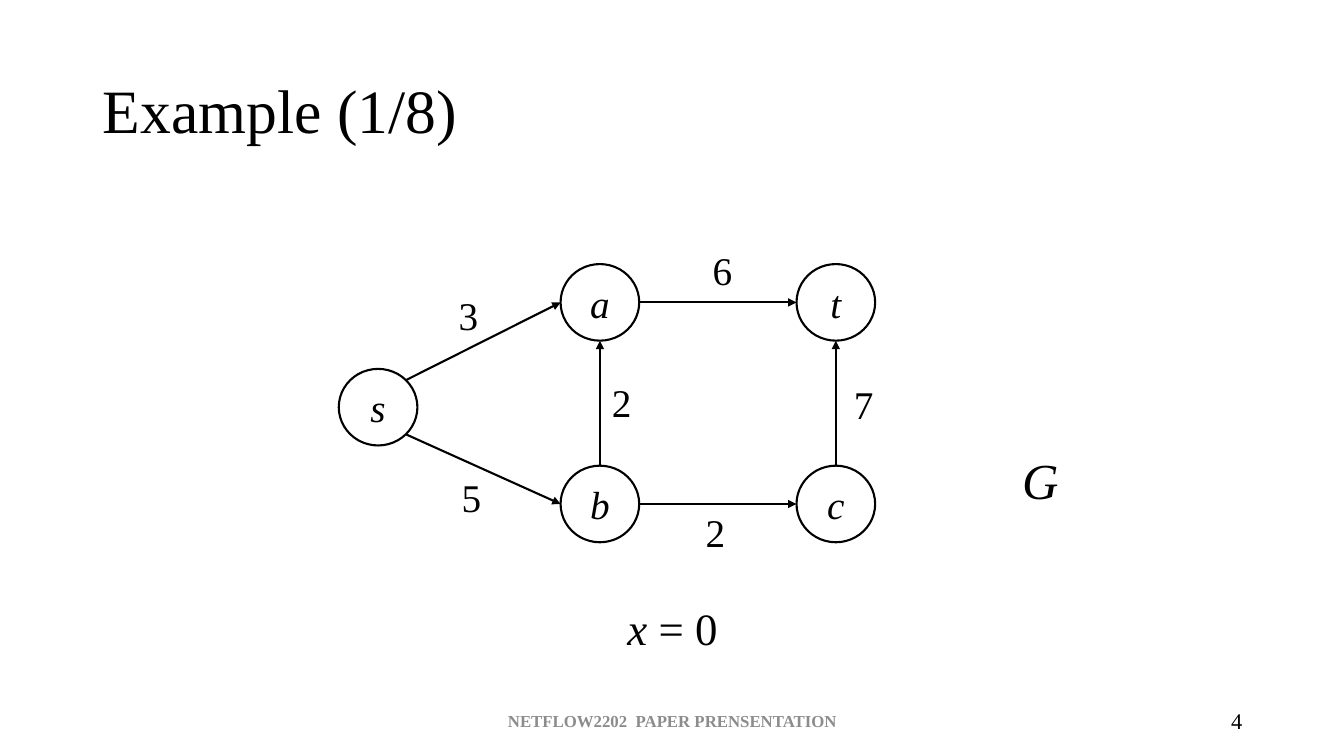
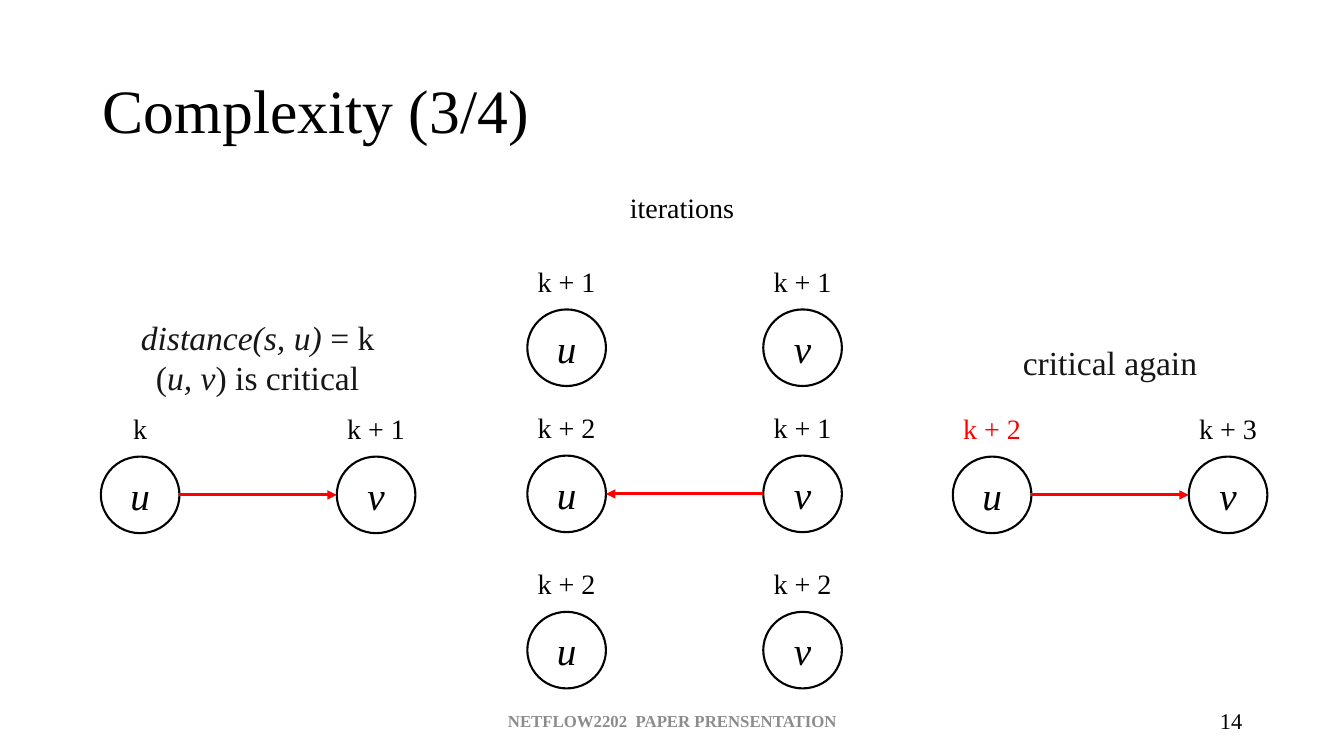
from math import sqrt

from lxml import etree
from pptx import Presentation
from pptx.dml.color import RGBColor
from pptx.enum import shapes, text
from pptx.oxml import ns
from pptx.util import Inches, Pt

FONT = "Times New Roman"
BLACK = RGBColor(0x00, 0x00, 0x00)
DARK = RGBColor(0x16, 0x16, 0x16)
GREY = RGBColor(0x8C, 0x8C, 0x8C)
RED = RGBColor(0xFF, 0x00, 0x00)

LEFT, CENTER, RIGHT = text.PP_ALIGN.LEFT, text.PP_ALIGN.CENTER, text.PP_ALIGN.RIGHT
FOOTER = "NETFLOW2202  PAPER PRENSENTATION"

NODE_WIDTH, NODE_HEIGHT = 0.78, 0.76
PAIR_GAP = 2.34  # distance between the centres of u and v
DIAGONAL = sqrt(0.5)
SIDES = {
    "top": (0, -1),
    "bottom": (0, 1),
    "left": (-1, 0),
    "right": (1, 0),
    "top right": (DIAGONAL, -DIAGONAL),
    "bottom right": (DIAGONAL, DIAGONAL),
}


# Text
def style_runs(paragraph, size, color=BLACK, bold=False):
    for run in paragraph.runs:
        run.font.name = FONT
        run.font.size = Pt(size)
        run.font.color.rgb = color
        run.font.bold = bold


def add_text(slide, box, lines, size, color=BLACK, align=LEFT, bold=False, middle=False):
    """Each line is a list of (wording, italic) pieces."""
    shape = slide.shapes.add_textbox(*map(Inches, box))
    frame = shape.text_frame
    frame.word_wrap = True
    if middle:
        frame.vertical_anchor = text.MSO_ANCHOR.MIDDLE
    else:
        frame.auto_size = text.MSO_AUTO_SIZE.SHAPE_TO_FIT_TEXT
    for index, pieces in enumerate(lines):
        paragraph = frame.add_paragraph() if index else frame.paragraphs[0]
        paragraph.alignment = align
        for wording, italic in pieces:
            run = paragraph.add_run()
            run.text = wording
            run.font.italic = italic
        style_runs(paragraph, size, color, bold)


def add_label(slide, box, wording, size, color=BLACK, **options):
    add_text(slide, box, [[(wording, False)]], size, color, **options)


# Graph parts
def add_node(slide, center, name):
    x, y = center
    node = slide.shapes.add_shape(
        shapes.MSO_SHAPE.OVAL,
        Inches(x - NODE_WIDTH / 2), Inches(y - NODE_HEIGHT / 2),
        Inches(NODE_WIDTH), Inches(NODE_HEIGHT))
    node.shadow.inherit = False
    node.fill.background()
    node.line.color.rgb = BLACK
    node.line.width = Pt(1.5)
    frame = node.text_frame
    frame.text = name
    frame.vertical_anchor = text.MSO_ANCHOR.MIDDLE
    paragraph = frame.paragraphs[0]
    paragraph.alignment = CENTER
    style_runs(paragraph, 28)
    paragraph.runs[0].font.italic = True


def rim_point(center, side):
    dx, dy = SIDES[side]
    return center[0] + dx * NODE_WIDTH / 2, center[1] + dy * NODE_HEIGHT / 2


def add_arrow(slide, start, end, color=BLACK, width=1.5):
    arrow = slide.shapes.add_connector(
        shapes.MSO_CONNECTOR.STRAIGHT, *map(Inches, (*start, *end)))
    arrow.line.color.rgb = color
    arrow.line.width = Pt(width)
    line = arrow.line._get_or_add_ln()
    etree.SubElement(line, ns.qn("a:tailEnd"), type="triangle")
    etree.SubElement(arrow._element.spPr, ns.qn("a:effectLst"))


def add_pair(slide, center, u_label, v_label, direction=None, u_color=BLACK):
    """Nodes u and v with distance labels; center is that of u."""
    x, y = center
    u, v = center, (x + PAIR_GAP, y)
    for node, name, label, color in ((u, "u", u_label, u_color), (v, "v", v_label, BLACK)):
        add_node(slide, node, name)
        add_label(slide, (node[0] - 0.475, y - 0.88, 0.95, 0.44), label, 20, color, align=CENTER)
    ends = [rim_point(u, "right"), rim_point(v, "left")]
    if direction == "backward":
        ends.reverse()
    if direction:
        add_arrow(slide, *ends, RED, 2.25)


# Slides
def add_slide(presentation, title, number):
    slide = presentation.slides.add_slide(presentation.slide_layouts[5])
    shape = slide.shapes.title
    shape.left, shape.top, shape.width, shape.height = map(Inches, (0.92, 0.4, 11.5, 1.45))
    frame = shape.text_frame
    frame.text = title
    frame.auto_size = text.MSO_AUTO_SIZE.NONE
    frame.vertical_anchor = text.MSO_ANCHOR.MIDDLE
    paragraph = frame.paragraphs[0]
    paragraph.alignment = LEFT
    paragraph.line_spacing = 0.9
    style_runs(paragraph, 44)
    add_label(slide, (4.42, 6.95, 4.5, 0.4), FOOTER, 12, GREY,
              align=CENTER, bold=True, middle=True)
    add_label(slide, (9.42, 6.95, 3, 0.4), str(number), 16, align=RIGHT, middle=True)
    return slide


def add_example(presentation):
    slide = add_slide(presentation, "Example (1/8)", 4)
    nodes = {"s": (3.75, 4.04), "a": (5.95, 3), "t": (8.29, 3), "b": (5.95, 5), "c": (8.29, 5)}
    for name, center in nodes.items():
        add_node(slide, center, name)

    # Edges: start, side, end, side, capacity, label position
    edges = [
        ("s", "top right", "a", "left", "3", (4.45, 2.84)),
        ("s", "bottom right", "b", "left", "5", (4.48, 4.65)),
        ("b", "right", "c", "left", "2", (6.9, 4.99)),
        ("b", "top", "a", "bottom", "2", (5.97, 3.7)),
        ("a", "right", "t", "left", "6", (6.97, 2.39)),
        ("c", "top", "t", "bottom", "7", (8.37, 3.72)),
    ]
    for start, start_side, end, end_side, capacity, position in edges:
        add_arrow(slide, rim_point(nodes[start], start_side), rim_point(nodes[end], end_side))
        add_label(slide, (*position, 0.61, 0.57), capacity, 28)

    add_text(slide, (10.04, 4.41, 0.93, 0.71), [[("G", True)]], 36)
    add_text(slide, (5.79, 5.91, 1.76, 0.64), [[("x", True), (" = 0", False)]], 32, align=CENTER)


def add_complexity(presentation):
    slide = add_slide(presentation, "Complexity (3/4)", 14)

    # Before, during and after the iterations
    add_pair(slide, (1.39, 4.91), "k", "k + 1", "forward")
    add_pair(slide, (5.62, 3.45), "k + 1", "k + 1")
    add_pair(slide, (5.62, 4.9), "k + 2", "k + 1", "backward")
    add_pair(slide, (5.62, 6.45), "k + 2", "k + 2")
    add_pair(slide, (9.84, 4.91), "k + 2", "k + 3", "forward", RED)

    # Captions
    add_label(slide, (6.12, 1.84, 1.29, 0.44), "iterations", 20, align=CENTER)
    add_text(slide, (1.15, 3.09, 2.81, 0.91), [
        [("distance(s, u) ", True), ("= k", False)],
        [("(", False), ("u, v", True), (") is critical", False)],
    ], 24, DARK, align=CENTER)
    add_label(slide, (9.71, 3.34, 2.6, 0.5), "critical again", 24, DARK, align=CENTER)


def main():
    presentation = Presentation()
    presentation.slide_width = Inches(13.33)
    presentation.slide_height = Inches(7.5)
    add_example(presentation)
    add_complexity(presentation)
    presentation.save("out.pptx")


if __name__ == "__main__":
    main()
